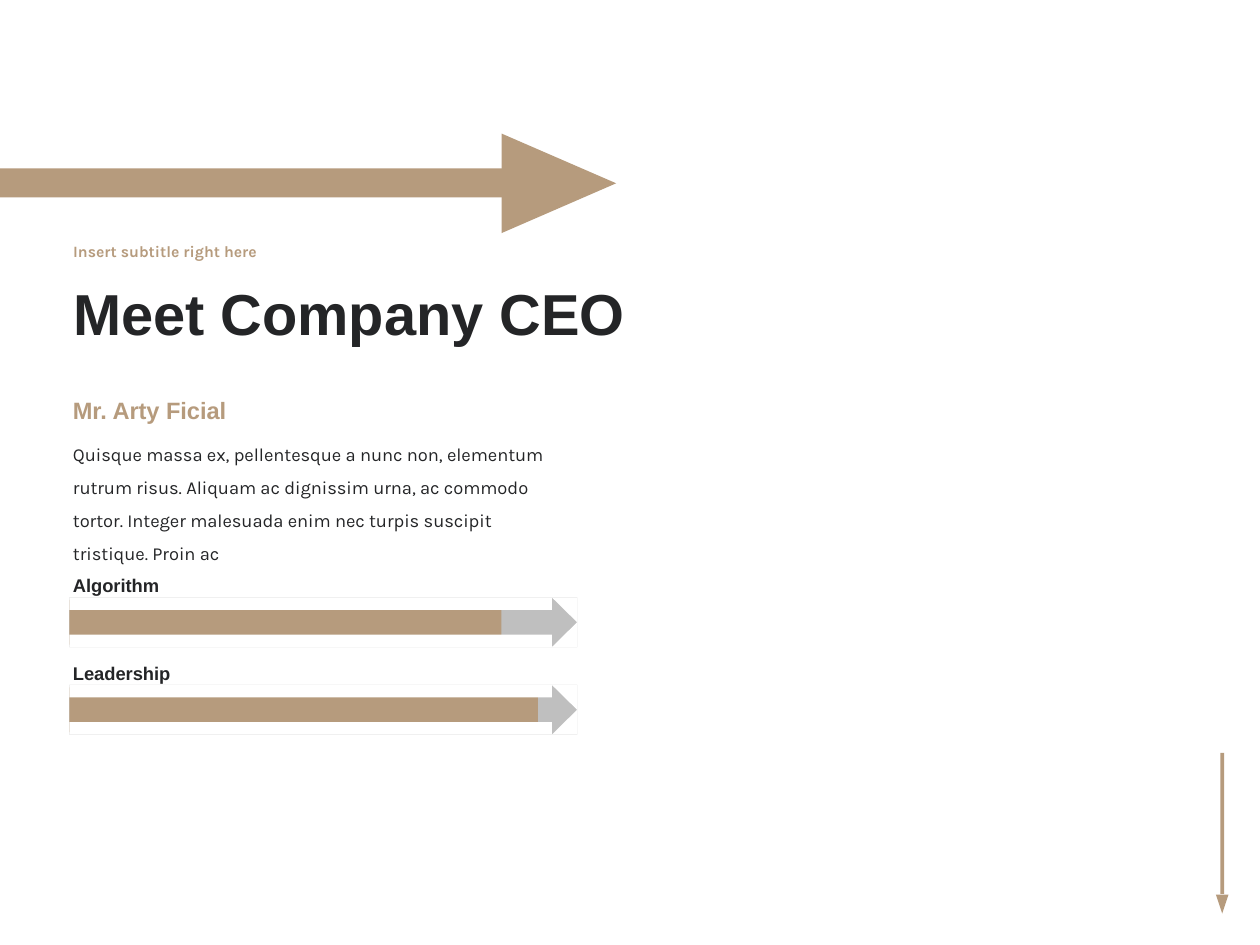
"""Build the CEO introduction slide with its two skill arrows."""
from pptx import Presentation
from pptx.dml.color import RGBColor
from pptx.enum import shapes, text
from pptx.util import Pt

THEME = {
    "tan": RGBColor(0xB6, 0x9B, 0x7D),
    "ink": RGBColor(0x24, 0x25, 0x27),
    "track": RGBColor(0xBF, 0xBF, 0xBF),
    "paper": RGBColor(0xFF, 0xFF, 0xFF),
    "heading": "Arial",
    "body": "Karla",
    "title": Pt(33),
    "name": Pt(13.5),
    "copy": Pt(10.5),
    "subtitle": Pt(9),
}
RECT = shapes.MSO_SHAPE.RECTANGLE
TRIANGLE = shapes.MSO_SHAPE.ISOSCELES_TRIANGLE


def paint(part, color, rotation=0):
    part.shadow.inherit = False
    part.fill.solid()
    part.fill.fore_color.rgb = THEME[color]
    part.line.fill.background()
    part.rotation = rotation


def write(holder, wording, box, face, size, color, bold=True, spacing=1.0,
          anchor=text.MSO_ANCHOR.TOP):
    for side, length in zip(("left", "top", "width", "height"), box):
        setattr(holder, side, Pt(length))
    frame = holder.text_frame
    frame.text = wording
    paragraph = frame.paragraphs[0]
    formats = (
        (frame, {"word_wrap": True, "auto_size": text.MSO_AUTO_SIZE.NONE,
                 "vertical_anchor": anchor}),
        (paragraph, {"alignment": text.PP_ALIGN.LEFT, "line_spacing": spacing,
                     "space_before": Pt(0)}),
        (paragraph.runs[0].font, {"name": THEME[face], "size": THEME[size],
                                  "bold": bold}),
    )
    for target, values in formats:
        for key, value in values.items():
            setattr(target, key, value)
    paragraph.runs[0].font.color.rgb = THEME[color]


deck = Presentation()
deck.slide_width, deck.slide_height = Pt(720), Pt(540)
slide = deck.slides.add_slide(deck.slide_layouts[0])
canvas = slide.shapes
text_left = 34.6

for kind, box, rotation in (
    (RECT, (658.1, 469.4, 80.6, 2.2), 90),
    (TRIANGLE, (694.8, 511.2, 7.2, 10.8), 180),
    (RECT, (-23.8, 96.2, 311, 16.6), 0),
    (TRIANGLE, (290.9, 72, 56.9, 65.5), 90),
):
    paint(canvas.add_shape(kind, *map(Pt, box)), "tan", rotation)

middle = text.MSO_ANCHOR.MIDDLE
write(canvas.title, "Meet Company CEO", (text_left, 144, 405.4, 74.2),
      "heading", "title", "ink", spacing=0.9, anchor=middle)
write(slide.placeholders[1], "Insert subtitle right here",
      (text_left, 130.3, 405.4, 27.4), "body", "subtitle", "tan",
      spacing=0.9, anchor=middle)
write(canvas.add_textbox(0, 0, 0, 0), "Mr. Arty Ficial",
      (text_left, 222.5, 157.7, 23.8), "heading", "name", "tan")
write(canvas.add_textbox(0, 0, 0, 0),
      "Quisque massa ex, pellentesque a nunc non, elementum rutrum risus. "
      "Aliquam ac dignissim urna, ac commodo tortor. Integer malesuada enim "
      "nec turpis suscipit tristique. Proin ac",
      (text_left, 243.4, 288, 62.6), "body", "copy", "ink",
      bold=False, spacing=1.5)

left, length, height = 39.6, 290.2, 28.4
right, neck, inset = left + length, 315.4, 7.1
for row, (skill, filled) in enumerate((("Algorithm", 247), ("Leadership", 267.8))):
    top = 341.4 + 50 * row
    bottom = top + height
    paint(canvas.add_shape(RECT, Pt(left), Pt(top), Pt(length), Pt(height)), "track")
    paint(canvas.add_shape(RECT, Pt(left), Pt(top + 1.4), Pt(filled), Pt(25.6)), "tan")

    lower_cut = ((neck, top), (right, top), (right, bottom), (left, bottom),
                 (left, bottom - inset), (neck, bottom - inset), (neck, bottom),
                 (right, top + height / 2))
    upper_cut = ((left, top), (neck, top), (neck, top + inset), (left, top + inset))
    mask = canvas.build_freeform(Pt(neck), Pt(top))
    for outline in (lower_cut, upper_cut):
        start, *corners = [(Pt(x), Pt(y)) for x, y in outline]
        mask.move_to(*start)
        mask.add_line_segments(corners, close=True)
    paint(mask.convert_to_shape(), "paper")

    write(canvas.add_textbox(0, 0, 0, 0), skill,
          (text_left, top - 16.8, 92.2, 20.2), "heading", "copy", "ink")

deck.save("out.pptx")
